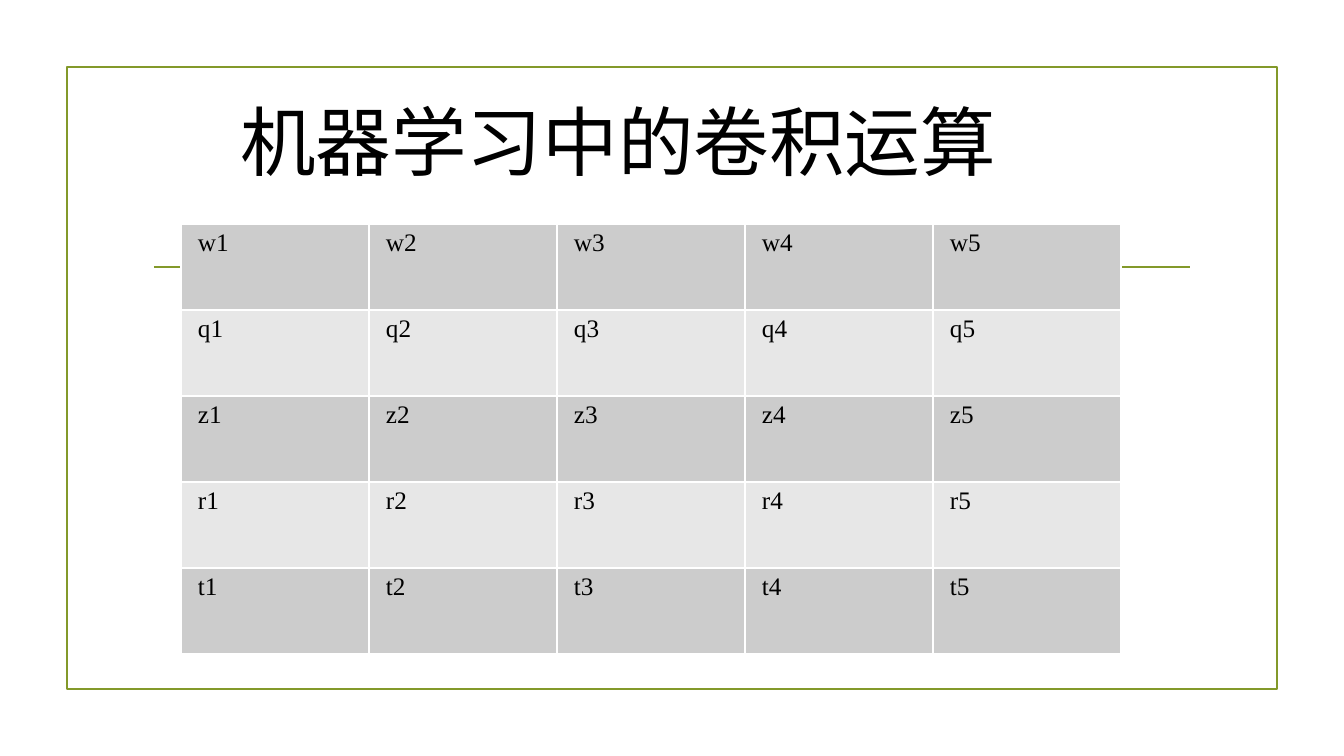
from dataclasses import dataclass

from lxml import etree
from pptx import Presentation
from pptx import util as u
from pptx.dml.color import RGBColor
from pptx.enum import shapes, text
from pptx.oxml.ns import qn

PX = 914400 / 100.8  # EMU per px
FONT = "Times New Roman"
COLORS = {"olive": "83992A", "black": "000000", "white": "FFFFFF",
          "dark_band": "CCCCCC", "light_band": "E7E7E7"}


@dataclass
class Box:
    left: int
    top: int
    width: int
    height: int

    def emu(self) -> list[u.Emu]:
        return [px(n) for n in (self.left, self.top, self.width, self.height)]


@dataclass
class Band:
    letter: str
    fill: str


FRAME = Box(67, 67, 1210, 622)
RULE = Box(154, 267, 1036, 0)
TITLE = Box(148, 57, 940, 166)
GRID = Box(181, 224, 940, 430)
COLUMNS = 5
BANDS = [Band(letter, "light_band" if i % 2 else "dark_band")
         for i, letter in enumerate("wqzrt")]


def px(n: int) -> u.Emu:
    return u.Emu(round(n * PX))


def rgb(name: str) -> RGBColor:
    return RGBColor.from_string(COLORS[name])


def style_font(p, size: int) -> None:
    p.font.name = FONT
    p.font.size = u.Pt(size)
    p.font.color.rgb = rgb("black")


def style_line(sp) -> None:
    sp.line.color.rgb = rgb("olive")
    sp.line.width = u.Pt(1.25)


def add_frame(slide) -> None:
    sp = slide.shapes.add_shape(shapes.MSO_SHAPE.RECTANGLE, *FRAME.emu())
    sp.shadow.inherit = False
    sp.fill.background()
    style_line(sp)


def add_rule(slide) -> None:
    x, y, w, h = RULE.emu()
    sp = slide.shapes.add_connector(shapes.MSO_CONNECTOR.STRAIGHT, x, y, x + w, y + h)
    style_line(sp)
    etree.SubElement(sp._element.spPr, qn("a:effectLst"))


def add_title(slide, wording: str) -> None:
    tf = slide.shapes.add_textbox(*TITLE.emu()).text_frame
    tf.word_wrap = False
    tf.vertical_anchor = text.MSO_ANCHOR.MIDDLE
    p = tf.paragraphs[0]
    p.text = wording
    p.alignment = text.PP_ALIGN.CENTER
    style_font(p, 54)


def add_borders(cell) -> None:
    tc_pr = cell._tc.get_or_add_tcPr()
    for side in ("lnL", "lnR", "lnT", "lnB"):
        ln = etree.SubElement(tc_pr, qn(f"a:{side}"), w=str(u.Pt(1)))
        fill = etree.SubElement(ln, qn("a:solidFill"))
        etree.SubElement(fill, qn("a:srgbClr"), val=COLORS["white"])


def fill_cell(cell, wording: str, fill: str) -> None:
    add_borders(cell)
    cell.fill.solid()
    cell.fill.fore_color.rgb = rgb(fill)
    cell.margin_left = cell.margin_right = px(17)
    cell.margin_top = cell.margin_bottom = px(5)
    p = cell.text_frame.paragraphs[0]
    p.text = wording
    style_font(p, 18)


def add_grid(slide) -> None:
    table = slide.shapes.add_table(len(BANDS), COLUMNS, *GRID.emu()).table
    table.first_row = table.horz_banding = False
    for row, band in enumerate(BANDS):
        for col in range(COLUMNS):
            fill_cell(table.cell(row, col), f"{band.letter}{col + 1}", band.fill)


def main() -> None:
    prs = Presentation()
    prs.slide_width, prs.slide_height = px(1344), px(756)
    slide = prs.slides.add_slide(prs.slide_layouts[6])

    # Backdrop
    add_frame(slide)
    add_rule(slide)

    # Content
    add_title(slide, "机器学习中的卷积运算")
    add_grid(slide)

    prs.save("out.pptx")


if __name__ == "__main__":
    main()
